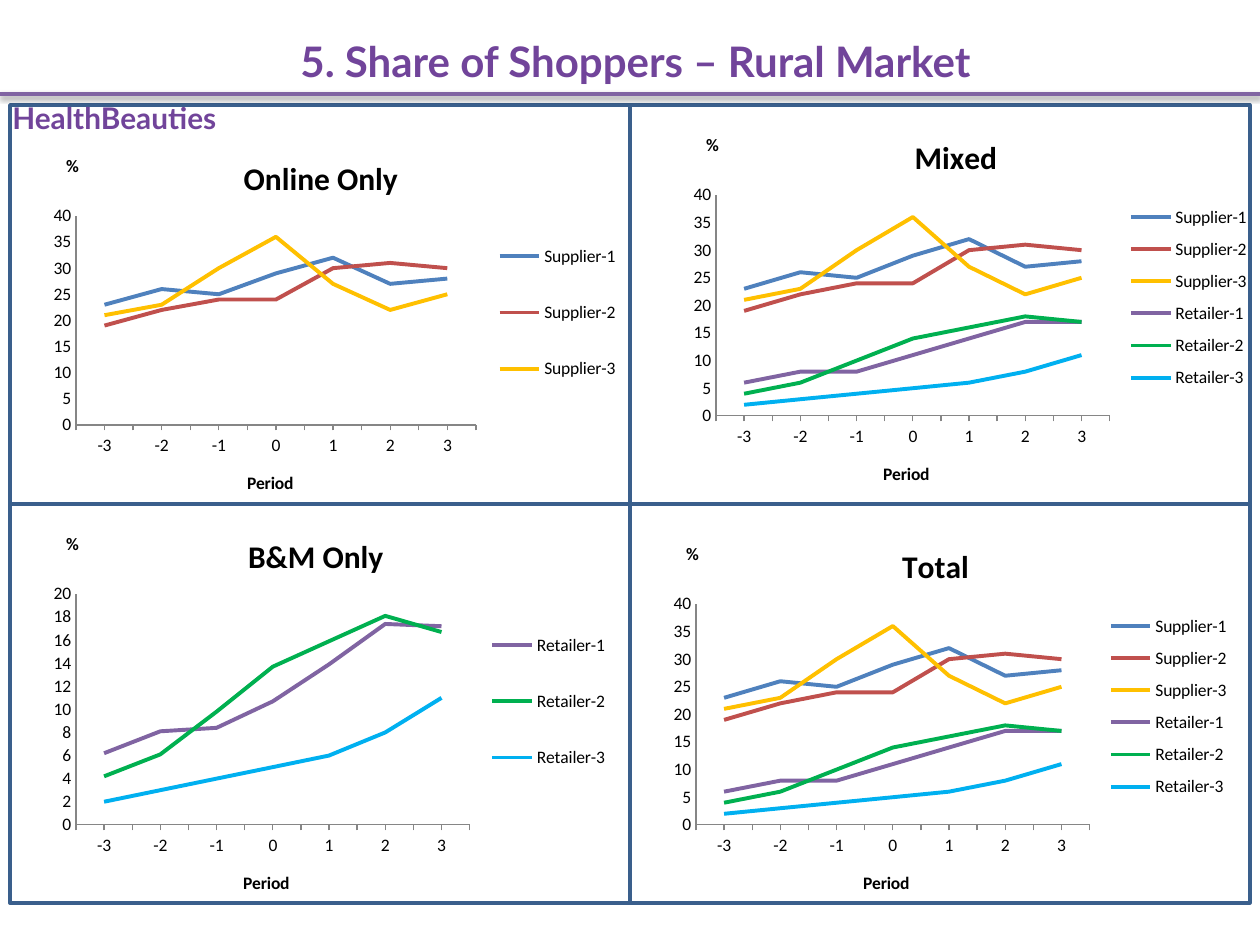
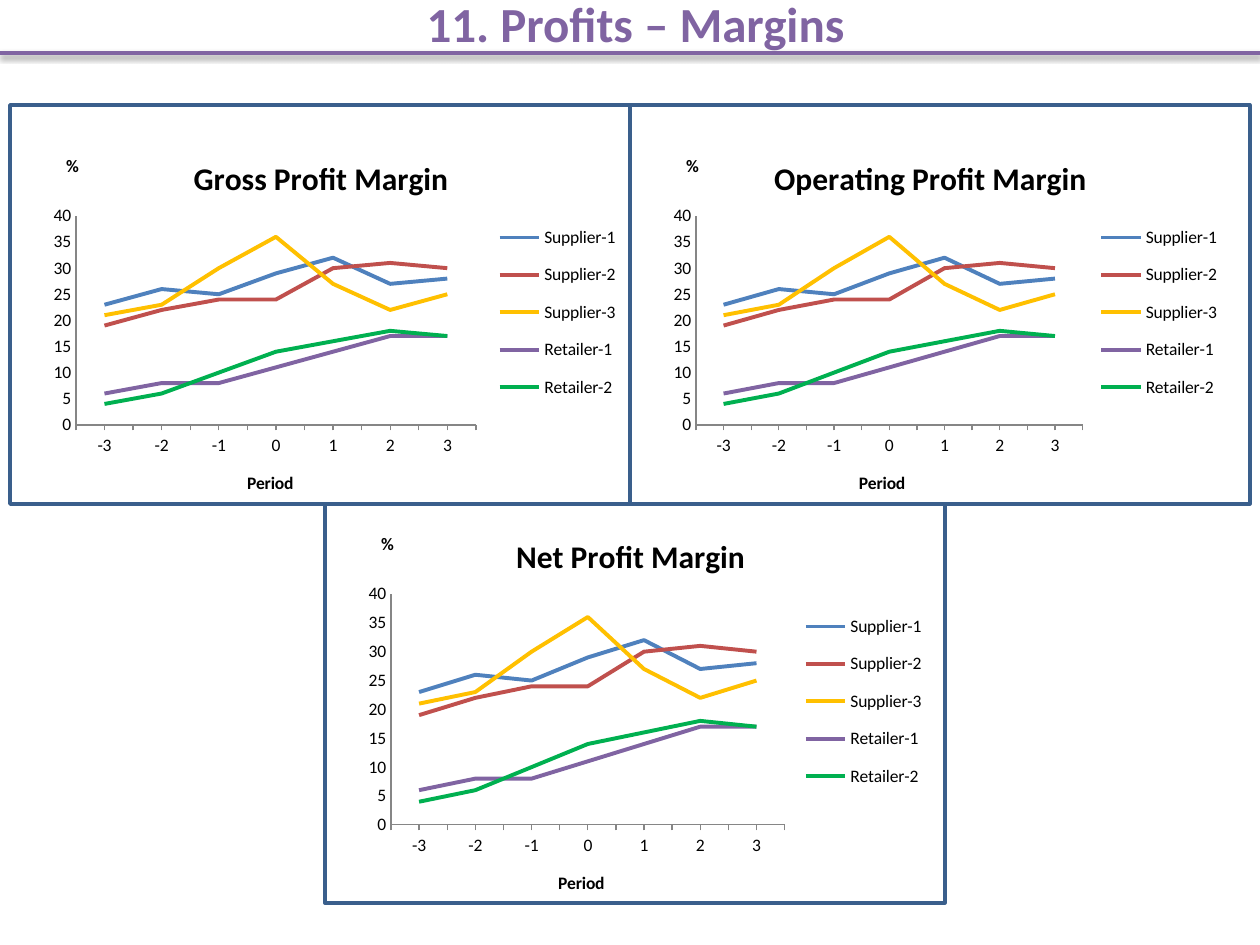
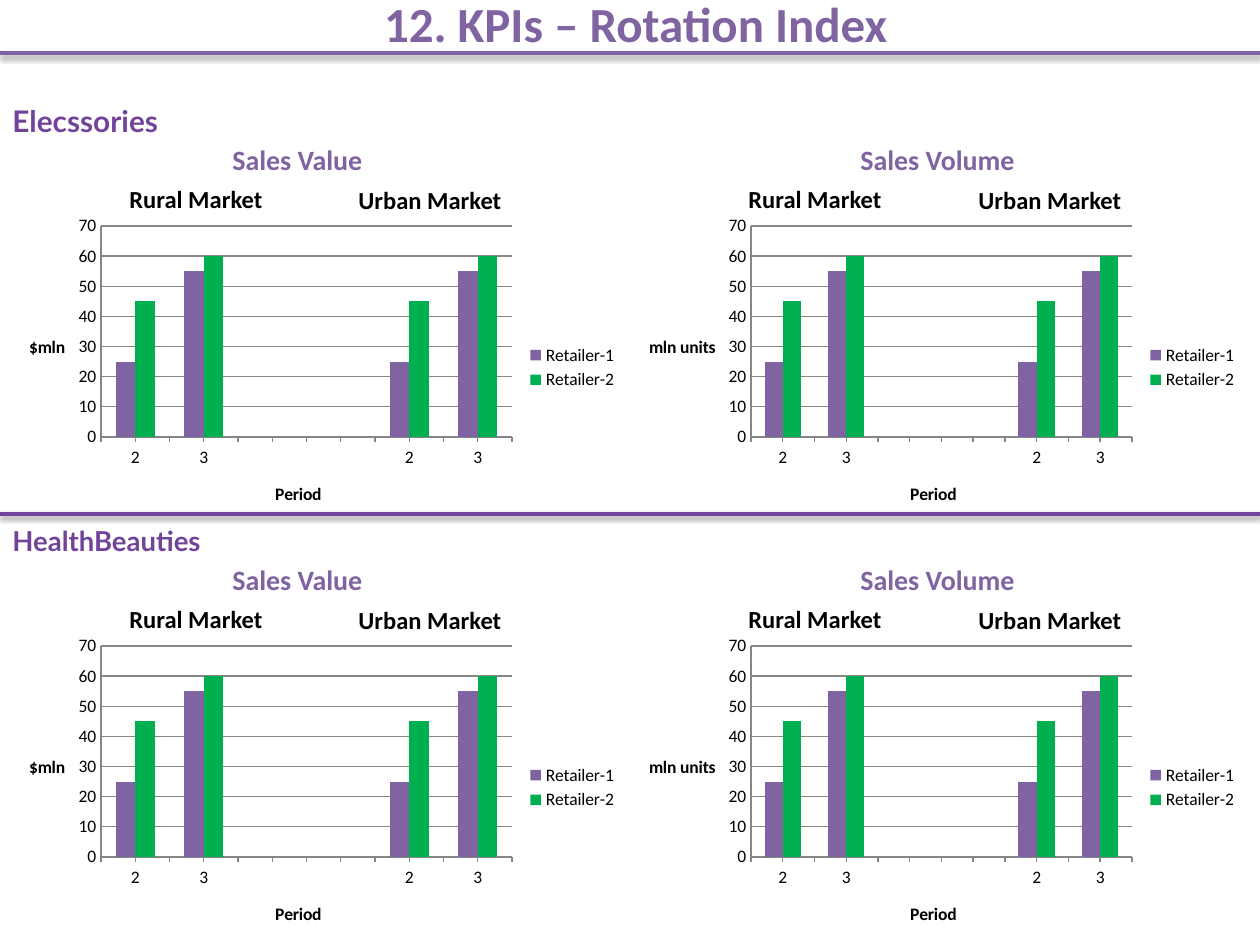
from lxml import etree
from pptx import Presentation
from pptx.chart.data import CategoryChartData
from pptx.dml.color import RGBColor
from pptx.enum.chart import XL_CHART_TYPE as ChartType, XL_LEGEND_POSITION as LegendPos, XL_TICK_MARK as Tick
from pptx.enum.shapes import MSO_CONNECTOR as Connector, MSO_SHAPE as Shape
from pptx.enum.text import MSO_ANCHOR as Anchor, MSO_AUTO_SIZE as AutoSize, PP_ALIGN as Align
from pptx.oxml import parse_xml
from pptx.oxml.ns import nsdecls, qn
from pptx.util import Pt

PX = 914400 / 126
BLACK = RGBColor(0x00, 0x00, 0x00)
GREY = RGBColor(0x86, 0x86, 0x86)
PURPLE = RGBColor(0x71, 0x44, 0x9A)
LILAC = RGBColor(0x80, 0x64, 0xA2)
NAVY = RGBColor(0x3A, 0x5F, 0x8C)
BLUE = RGBColor(0x4F, 0x81, 0xBD)
RED = RGBColor(0xC0, 0x50, 0x4D)
GOLD = RGBColor(0xFF, 0xC0, 0x00)
GREEN = RGBColor(0x00, 0xB0, 0x50)
SKY = RGBColor(0x00, 0xB0, 0xF0)

PERIODS = ["-3", "-2", "-1", "0", "1", "2", "3"]
SUPPLIERS = [
    ("Supplier-1", [23, 26, 25, 29, 32, 27, 28], BLUE),
    ("Supplier-2", [19, 22, 24, 24, 30, 31, 30], RED),
    ("Supplier-3", [21, 23, 30, 36, 27, 22, 25], GOLD),
]
RETAILERS = [
    ("Retailer-1", [6.2, 8.1, 8.4, 10.7, 13.9, 17.4, 17.2], LILAC),
    ("Retailer-2", [4.2, 6.1, 9.8, 13.7, 15.9, 18.1, 16.7], GREEN),
    ("Retailer-3", [2, 3, 4, 5, 6, 8, 11], SKY),
]
EVERYONE = SUPPLIERS + [(name, [round(v) for v in values], color) for name, values, color in RETAILERS]
MARGIN_PLAYERS = EVERYONE[:5]
MARKET_PERIODS = ["2", "3", "", "", "2", "3"]
ROTATION = [
    ("Retailer-1", [25, 55, None, None, 25, 55], LILAC),
    ("Retailer-2", [45, 60, None, None, 45, 60], GREEN),
]


def write_text(frame, text, size=10, color=BLACK, font="Calibri", align=None, anchor=None, wrap=None):
    frame.word_wrap = wrap
    frame.vertical_anchor = anchor
    paragraph = frame.paragraphs[0]
    paragraph.alignment = align
    run = paragraph.add_run()
    run.text = text
    run.font.size = Pt(size)
    run.font.name = font
    run.font.bold = True
    run.font.color.rgb = color


def draw_chart(slide, kind, box, periods, players, unit, top, step, places, heading=""):
    data = CategoryChartData()
    data.categories = periods
    for name, values, _ in players:
        data.add_series(name, values)
    chart = slide.shapes.add_chart(kind, *[round(n * PX) for n in box], data).chart
    is_line = kind == ChartType.LINE
    chart.font.size = Pt(10)
    chart.font.name = "Calibri"
    chart.font.color.rgb = BLACK
    chart.has_title = bool(heading)
    if heading:
        write_text(chart.chart_title.text_frame, heading, size=18)
    chart.has_legend = True
    chart.legend.position = LegendPos.RIGHT
    chart.legend.include_in_layout = False
    plot = chart.plots[0]
    plot.vary_by_categories = False
    for series, (_, _, color) in zip(plot.series, players):
        if is_line:
            series.smooth = False
            series.format.line.color.rgb = color
            series.format.line.width = Pt(2.25)
        else:
            series.format.fill.solid()
            series.format.fill.fore_color.rgb = color
    if not is_line:
        plot.gap_width = 150
    value_axis, period_axis = chart.value_axis, chart.category_axis
    value_axis.minimum_scale = 0
    value_axis.maximum_scale = top
    value_axis.major_unit = step
    value_axis.has_major_gridlines = not is_line
    if not is_line:
        value_axis.major_gridlines.format.line.color.rgb = GREY
        value_axis.major_gridlines.format.line.width = Pt(0.75)
    for axis, label, minor in ((value_axis, unit, Tick.NONE), (period_axis, "Period", Tick.OUTSIDE)):
        axis.major_tick_mark = Tick.NONE
        axis.minor_tick_mark = minor
        axis.format.line.color.rgb = GREY
        axis.format.line.width = Pt(0.75)
        write_text(axis.axis_title.text_frame, label)
    upright = chart.element.xpath(".//c:valAx/c:title//a:bodyPr")[0]
    upright.set("rot", "0")
    upright.set("vert", "horz")
    for target, spot in places.items():
        part = chart.element.xpath(".//c:" + target)[0]
        for old in part.findall(qn("c:layout")):
            part.remove(old)
        layout = etree.Element(qn("c:layout"))
        manual = etree.SubElement(layout, qn("c:manualLayout"))
        settings = [("layoutTarget", "inner")] if target == "plotArea" else []
        settings += [("xMode", "edge"), ("yMode", "edge")]
        settings += [(side, f"{length / box[2 + i % 2]:.4f}") for i, (side, length) in enumerate(zip("xywh", spot))]
        for tag, value in settings:
            etree.SubElement(manual, qn("c:" + tag)).set("val", value)
        part.insert(0 if target == "plotArea" else 1, layout)


deck = Presentation()
deck.slide_width = round(1260 * PX)
deck.slide_height = round(945 * PX)

slides = []
for heading, top, size, color, font in (
    ("5. Share of Shoppers – Rural Market", 6, 24, PURPLE, "Lato"),
    ("11. Profits – Margins", -32, 28, LILAC, "Calibri"),
    ("12. KPIs – Rotation Index", -32, 28, LILAC, "Calibri"),
):
    slide = deck.slides.add_slide(deck.slide_layouts[5])
    title = slide.shapes.title
    title.left, title.top, title.width, title.height = [round(n * PX) for n in (21, top, 1229, 110)]
    write_text(title.text_frame, heading, size=size, color=color, font=font,
               align=Align.CENTER, anchor=Anchor.MIDDLE, wrap=True)
    title.text_frame.auto_size = AutoSize.NONE
    slides.append(slide)
shoppers, margins, rotation = slides

for slide, heading, heading_width, box, players, top, step in (
    (shoppers, "Online Only", 154, (0, 126, 630, 388), SUPPLIERS, 40, 5),
    (shoppers, "B&M Only", 135, (0, 504, 620, 410), RETAILERS, 20, 2),
    (shoppers, "Total", 67, (620, 514, 620, 400), EVERYONE, 40, 5),
    (shoppers, "Mixed", 82, (640, 105, 620, 400), EVERYONE, 40, 5),
    (margins, "Gross Profit Margin", 254, (0, 126, 630, 388), MARGIN_PLAYERS, 40, 5),
    (margins, "Operating Profit Margin", 312, (620, 126, 609, 388), MARGIN_PLAYERS, 40, 5),
    (margins, "Net Profit Margin", 229, (315, 504, 620, 410), MARGIN_PLAYERS, 40, 5),
):
    width, height = box[2:]
    places = {
        "plotArea": (76, 90, width * 0.635, height - 179),
        "chart/c:title": ((width - heading_width) / 2, 25),
        "valAx/c:title": (63, 25),
        "catAx/c:title": (width * 0.387, height - 46),
        "legend": (width * 0.78, height / 2 - 110, width * 0.21, 205),
    }
    draw_chart(slide, ChartType.LINE, box, PERIODS, players, "%", top, step, places, heading)

for slide, left, top in (
    (shoppers, 10, 105), (shoppers, 630, 105), (shoppers, 10, 504), (shoppers, 630, 504),
    (margins, 10, 105), (margins, 630, 105), (margins, 325, 504),
):
    panel = slide.shapes.add_shape(Shape.RECTANGLE, *[round(n * PX) for n in (left, top, 620, 399)])
    panel.shadow.inherit = False
    panel.fill.background()
    panel.line.color.rgb = NAVY
    panel.line.width = Pt(2)

captions = [
    (shoppers, "HealthBeauties", (0, 94, 238, 49), 17, PURPLE, "Lato", Anchor.TOP),
    (rotation, "Elecssories", (0, 84, 200, 73), 17, PURPLE, "Lato", Anchor.MIDDLE),
    (rotation, "HealthBeauties", (0, 504, 231, 73), 15.7, PURPLE, "Lato", Anchor.MIDDLE),
]
for drop in (0, 420):
    for measure, unit, left, measure_left, rural_left, urban_left, plot_left, plot_width, period_left in (
        ("Sales Value", "$mln", 0, 220, 117, 346, 101, 411, 272),
        ("Sales Volume", "mln units", 620, 848, 736, 966, 131, 381, 287),
    ):
        places = {
            "plotArea": (plot_left, 16, plot_width, 211),
            "valAx/c:title": (26, 122),
            "catAx/c:title": (period_left, 269),
        }
        draw_chart(rotation, ChartType.COLUMN_CLUSTERED, (left, 210 + drop, 630, 315),
                   MARKET_PERIODS, ROTATION, unit, 70, 10, places)
        captions += [
            (rotation, measure, (measure_left, 136 + drop, 180, 47), 16, LILAC, "Calibri", Anchor.TOP),
            (rotation, "Rural Market", (rural_left, 178 + drop, 160, 43), 14, BLACK, "Calibri", Anchor.TOP),
            (rotation, "Urban Market", (urban_left, 179 + drop, 169, 43), 14, BLACK, "Calibri", Anchor.TOP),
        ]

for slide, text, box, size, color, font, anchor in captions:
    caption = slide.shapes.add_textbox(*[round(n * PX) for n in box])
    write_text(caption.text_frame, text, size=size, color=color, font=font,
               align=Align.LEFT, anchor=anchor, wrap=False)

for slide, level, color in ((shoppers, 94, LILAC), (margins, 53, LILAC), (rotation, 53, LILAC), (rotation, 514, PURPLE)):
    rule = slide.shapes.add_connector(Connector.STRAIGHT, 0, round(level * PX), deck.slide_width, round(level * PX))
    rule.line.color.rgb = color
    rule.line.width = Pt(2)
    rule.element.spPr.append(parse_xml(
        f'<a:effectLst {nsdecls("a")}><a:outerShdw blurRad="40000" dist="20000" dir="5400000" rotWithShape="0">'
        '<a:srgbClr val="000000"><a:alpha val="38000"/></a:srgbClr></a:outerShdw></a:effectLst>'))

deck.save("out.pptx")
